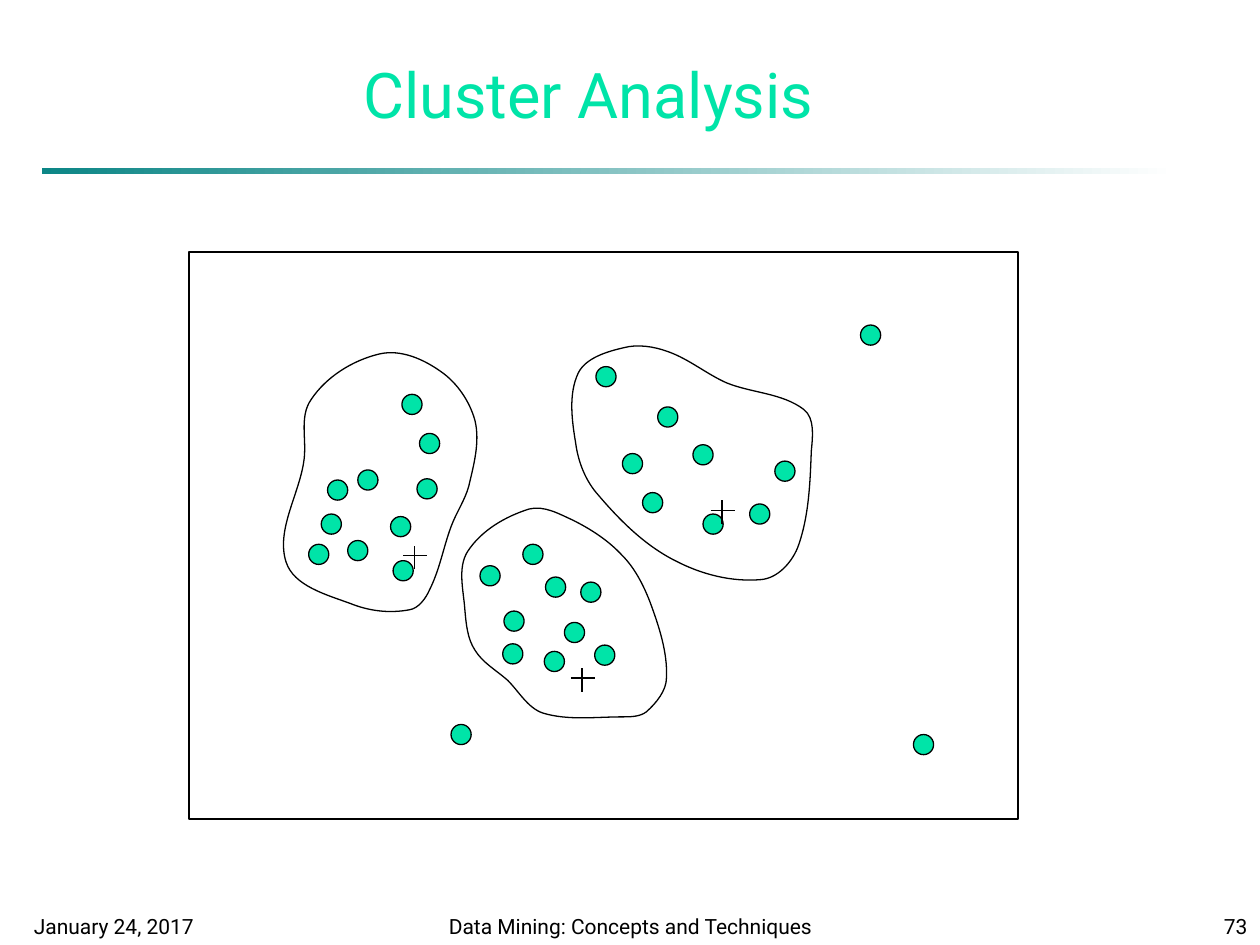
from collections import namedtuple
from math import dist

from lxml import etree
from pptx import Presentation
from pptx.dml.color import RGBColor
from pptx.enum.shapes import MSO_CONNECTOR, MSO_SHAPE
from pptx.enum.text import MSO_ANCHOR, MSO_AUTO_SIZE, PP_ALIGN
from pptx.oxml.ns import qn
from pptx.util import Pt

RECTANGLE, DOT = MSO_SHAPE.RECTANGLE, MSO_SHAPE.FLOWCHART_CONNECTOR
STRAIGHT = MSO_CONNECTOR.STRAIGHT
LEFT, CENTER, RIGHT = PP_ALIGN.LEFT, PP_ALIGN.CENTER, PP_ALIGN.RIGHT
BOTTOM, FIXED_SIZE = MSO_ANCHOR.BOTTOM, MSO_AUTO_SIZE.NONE

PX = 9144  # EMU per px, 100 px to the inch
FONT = "Roboto"
COLORS = {"accent": "00E4A8", "ink": "000000", "bar": "0C8686", "page": "FFFFFF"}
Box = namedtuple("Box", "left top width height")

# Data coordinates of the plot's top left corner
DATA_ORIGIN = (150, 200)
DOT_SIZE, CROSS_SIZE = 16, 19
OUTLIERS = [(725, 583), (358, 575), (683, 258)]
# Dots and centre marks are given by their top left corners
CLUSTERS = [
    {
        "dots": [(276, 429), (255, 408), (310, 410), (284, 373), (245, 432),
                 (260, 381), (312, 445), (331, 380), (333, 344), (319, 313)],
        "centre": (320, 433),
        "outline": [(358, 418), (341, 468), (325, 484), (278, 479), (227, 446),
                    (241, 367), (247, 317), (301, 281), (350, 295), (377, 334),
                    (372, 386)],
    },
    {
        "dots": [(381, 449), (461, 462), (432, 517), (448, 494), (400, 485),
                 (399, 511), (415, 432), (433, 458), (472, 512)],
        "centre": (453, 530),
        "outline": [(403, 540), (377, 516), (369, 484), (371, 438), (420, 404),
                    (455, 413), (494, 441), (516, 478), (529, 538), (513, 565),
                    (494, 569), (431, 566)],
    },
    {
        "dots": [(522, 323), (510, 391), (550, 353), (494, 360),
                 (615, 366), (595, 400), (558, 408), (473, 291)],
        "centre": (564, 397),
        "outline": [(638, 325), (644, 358), (633, 435), (604, 460), (536, 445),
                    (475, 393), (457, 352), (459, 296), (495, 276), (530, 279),
                    (577, 304)],
    },
]


def color(name):
    return RGBColor.from_string(COLORS[name])


def emu(*lengths):
    return [length * PX for length in lengths]


def format_text(shape, text, size, color_name, alignment):
    frame = shape.text_frame
    frame.text = text
    frame.word_wrap = True
    frame.auto_size = FIXED_SIZE
    frame.vertical_anchor = BOTTOM
    para = frame.paragraphs[0]
    para.alignment = alignment
    font = para.runs[0].font
    font.name, font.size = FONT, Pt(size)
    font.color.rgb = color(color_name)


def draw_line(shape):
    shape.line.color.rgb = color("ink")
    shape.line.width = Pt(0.75)


def add_outlined(page, preset, box, fill_name=None):
    shape = page.shapes.add_shape(preset, *emu(*box))
    shape.shadow.inherit = False
    draw_line(shape)
    if fill_name:
        shape.fill.solid()
        shape.fill.fore_color.rgb = color(fill_name)
    else:
        shape.fill.background()


def add_cross(page, left, top):
    middle = CROSS_SIZE // 2
    right, bottom = left + CROSS_SIZE, top + CROSS_SIZE
    x, y = left + middle, top + middle - 1
    for ends in ((left, y, right, y), (x, bottom, x, top)):
        line = page.shapes.add_connector(STRAIGHT, *emu(*ends))
        draw_line(line)
        etree.SubElement(line._element.spPr, qn("a:effectLst"))


def smooth_loop(points):
    """Return Bezier controls and ends of a smooth closed curve through points."""
    count = len(points)

    def control(index, length):
        before, after = points[index - 1], points[(index + 1) % count]
        factor = length / dist(before, after)
        return tuple(round(value + (high - low) * factor)
                     for value, low, high in zip(points[index], before, after))

    curve = []
    for index in range(count):
        following = (index + 1) % count
        third = dist(points[index], points[following]) / 3
        curve += [control(index, third), control(following, -third), points[following]]
    return curve


def add_outline(page, points):
    """Draw a closed outline, joining every three points into a Bezier curve."""
    builder = page.shapes.build_freeform(*points[0], scale=PX)
    builder.add_line_segments(smooth_loop(points), close=True)
    shape = builder.convert_to_shape()
    shape.shadow.inherit = False
    shape.fill.background()
    draw_line(shape)
    segments = list(shape._element.iter(qn("a:lnTo")))
    for first, second, third in zip(*[iter(segments)] * 3):
        first.tag = qn("a:cubicBezTo")
        for segment in (second, third):
            first.append(segment[0])
            segment.getparent().remove(segment)


def add_header(page, box):
    title = page.shapes.title
    title.left, title.top, title.width, title.height = emu(
        box.left + 134, box.top, 600, 67)
    format_text(title, "Cluster Analysis", 36, "accent", CENTER)
    bar = page.shapes.add_shape(
        RECTANGLE, *emu(box.left, box.top + box.height - 5, box.width, 5))
    bar.shadow.inherit = False
    bar.line.fill.background()
    bar.fill.gradient()
    bar.fill.gradient_angle = 0
    for stop, name, position in zip(bar.fill.gradient_stops, ("bar", "page"), (0, 1)):
        stop.color.rgb = color(name)
        stop.position = position


def add_cluster_plot(page, box):
    shift_x, shift_y = box.left - DATA_ORIGIN[0], box.top - DATA_ORIGIN[1]

    def place(points):
        return [(x + shift_x, y + shift_y) for x, y in points]

    add_outlined(page, RECTANGLE, box)
    dots = OUTLIERS + [dot for cluster in CLUSTERS for dot in cluster["dots"]]
    for left, top in place(dots):
        add_outlined(page, DOT, Box(left, top, DOT_SIZE, DOT_SIZE), "accent")
    for cluster in CLUSTERS:
        add_outline(page, place(cluster["outline"]))
        add_cross(page, *place([cluster["centre"]])[0])


def add_footer(page, box):
    parts = [
        ("January 24, 2017", 0, 208, LEFT),
        ("Data Mining: Concepts and Techniques", 325, 317, CENTER),
        ("73", box.width - 208, 208, RIGHT),
    ]
    for text, offset, width, alignment in parts:
        shape = page.shapes.add_textbox(
            *emu(box.left + offset, box.top, width, box.height))
        format_text(shape, text, 12, "ink", alignment)


def main():
    deck = Presentation()
    deck.slide_width, deck.slide_height = emu(1000, 750)
    page = deck.slides.add_slide(deck.slide_layouts[5])
    add_header(page, Box(33, 42, 900, 96))
    add_cluster_plot(page, Box(150, 200, 658, 450))
    add_footer(page, Box(17, 708, 983, 42))
    deck.save("out.pptx")


if __name__ == "__main__":
    main()
